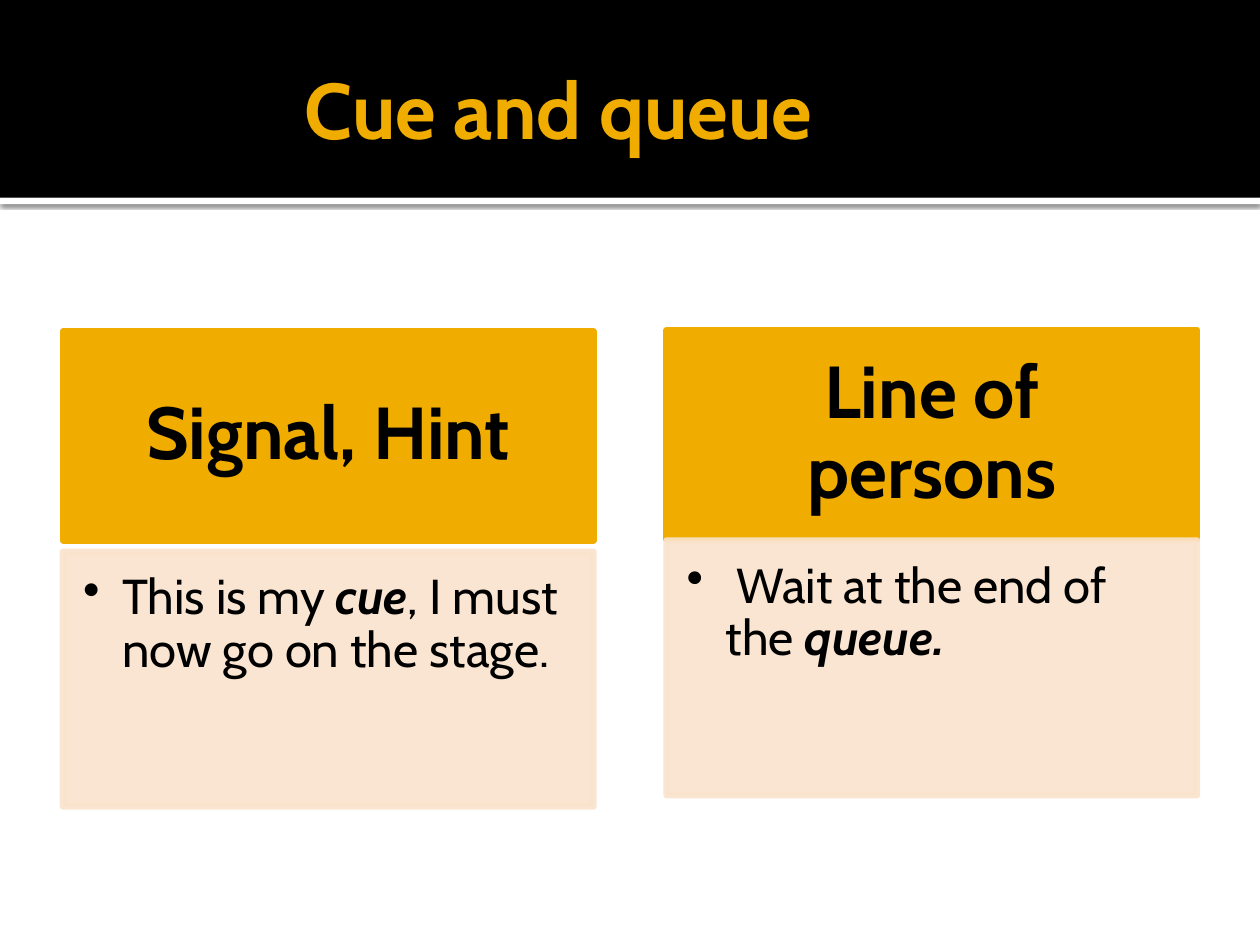
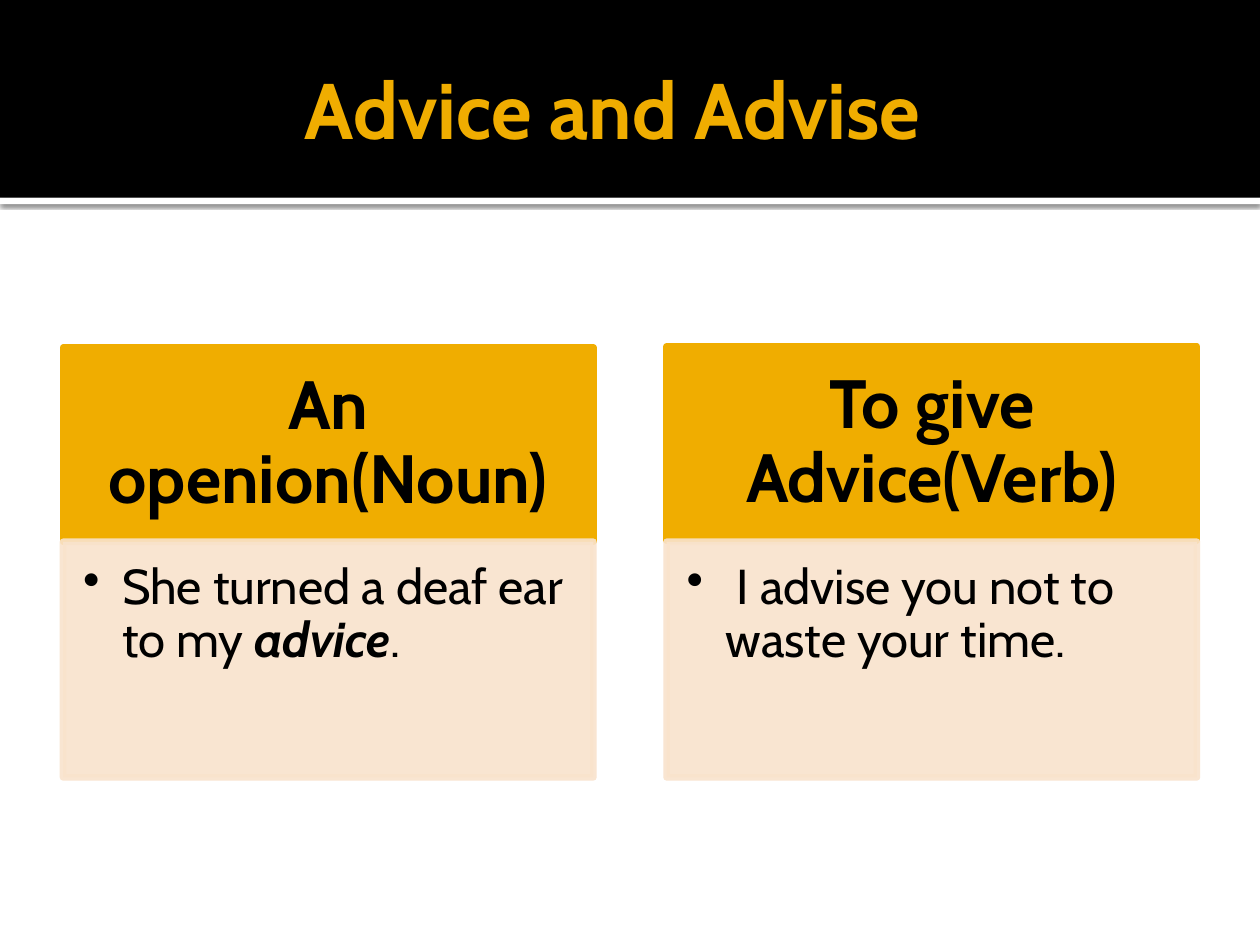
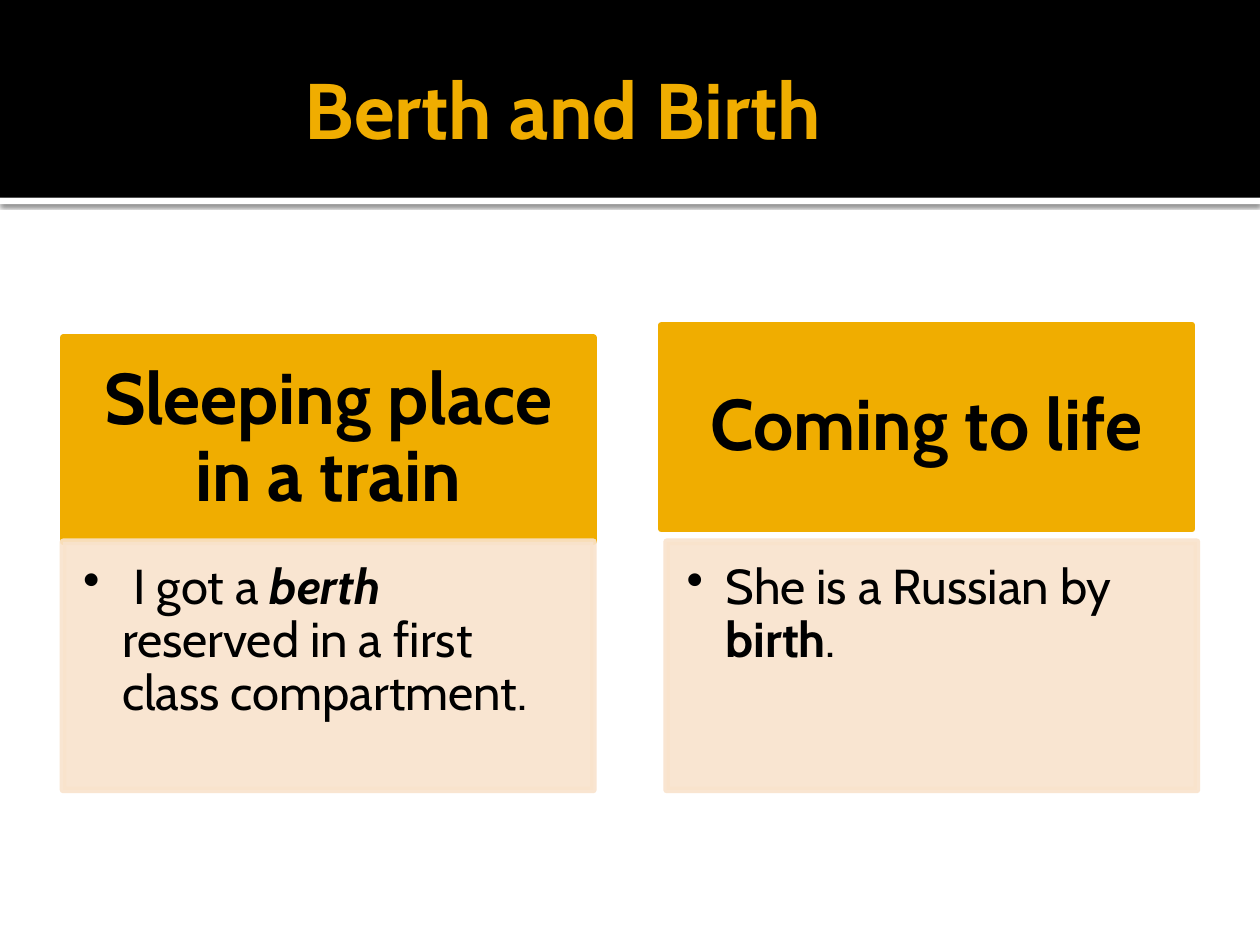
import pptx
import pptx.util
import pptx.dml.color
import pptx.enum.shapes
import pptx.enum.text
import pptx.oxml
import pptx.oxml.ns
import pptx.oxml.xmlchemy

Inches = pptx.util.Inches
Pt = pptx.util.Pt
RGBColor = pptx.dml.color.RGBColor
PP_ALIGN = pptx.enum.text.PP_ALIGN
MSO_ANCHOR = pptx.enum.text.MSO_ANCHOR
OxmlElement = pptx.oxml.xmlchemy.OxmlElement
qn = pptx.oxml.ns.qn

BLACK = RGBColor(0x00, 0x00, 0x00)
WHITE = RGBColor(0xFF, 0xFF, 0xFF)
AMBER = RGBColor(0xF0, 0xAD, 0x00)
CREAM = RGBColor(0xF9, 0xE3, 0xCC)

FONT = "Cabin"
COLUMN_W = 4.21
COLUMN_X = (0.5, 5.29)
PLAIN = {}
BOLD = {"bold": True}
BOLD_ITALIC = {"bold": True, "italic": True}
SHADOW = (
    '<a:outerShdw xmlns:a="http://schemas.openxmlformats.org/drawingml/2006/main" '
    'blurRad="31750" dist="10160" dir="5400000" algn="tl" rotWithShape="0">'
    '<a:srgbClr val="000000"><a:alpha val="60000"/></a:srgbClr></a:outerShdw>'
)


class Deck:
    def __init__(self):
        self.prs = pptx.Presentation()
        self.prs.slide_width = Inches(10)
        self.prs.slide_height = Inches(7.5)
        self.s = None

    def apply(self, target, values):
        for name, value in values.items():
            setattr(target, name, value)

    def box(self, x, y, w, h, color):
        sp = self.s.shapes.add_shape(
            pptx.enum.shapes.MSO_SHAPE.RECTANGLE,
            Inches(x), Inches(y), Inches(w), Inches(h))
        sp.shadow.inherit = False
        sp.fill.solid()
        sp.fill.fore_color.rgb = color
        sp.line.fill.background()
        return sp

    def outline(self, sp, color):
        sp.line.color.rgb = color
        sp.line.width = Pt(3.78)

    def fade(self, sp, percent):
        for clr in sp._element.spPr.iter(qn("a:srgbClr")):
            alpha = OxmlElement("a:alpha")
            alpha.set("val", str(percent * 1000))
            clr.append(alpha)

    def frame(self, sp, anchor, insets):
        tf = sp.text_frame
        left, top, right, bottom = (Inches(v) for v in insets)
        self.apply(tf, {
            "word_wrap": True, "auto_size": pptx.enum.text.MSO_AUTO_SIZE.NONE,
            "vertical_anchor": anchor, "margin_left": left, "margin_top": top,
            "margin_right": right, "margin_bottom": bottom})
        return tf.paragraphs[0]

    def run(self, p, text, size, color, style):
        r = p.add_run()
        r.text = text
        self.apply(r.font, {"name": FONT, "size": Pt(size), **style})
        r.font.color.rgb = color

    def bands(self):
        rule = self.box(0, 1.57, 10, 0.05, WHITE)
        effects = rule._element.spPr.find(qn("a:effectLst"))
        effects.append(pptx.oxml.parse_xml(SHADOW))
        self.box(0, 0, 10, 1.57, BLACK)

    def title(self, text):
        sp = self.s.shapes.title
        self.apply(sp, {"left": Inches(0.5), "top": Inches(0.17),
                        "width": Inches(9), "height": Inches(1.37)})
        p = self.frame(sp, MSO_ANCHOR.MIDDLE, (1.92, 0.05, 0.05, 0.05))
        p.alignment = PP_ALIGN.LEFT
        self.run(p, text, 45, AMBER, BOLD)
        self.s.shapes._spTree.append(sp._element)

    def slide(self, title):
        self.s = self.prs.slides.add_slide(self.prs.slide_layouts[5])
        self.s.background.fill.solid()
        self.s.background.fill.fore_color.rgb = WHITE
        self.bands()
        self.title(title)

    def heading(self, x, y, h, text, size, insets):
        sp = self.box(x, y, COLUMN_W, h, AMBER)
        self.outline(sp, AMBER)
        p = self.frame(sp, MSO_ANCHOR.MIDDLE, insets * 2)
        self.apply(p, {"alignment": PP_ALIGN.CENTER, "line_spacing": 0.9})
        self.run(p, text, size, BLACK, BOLD)

    def example(self, x, y, h, runs):
        sp = self.box(x, y, COLUMN_W, h, CREAM)
        self.outline(sp, CREAM)
        self.fade(sp, 90)
        p = self.frame(sp, MSO_ANCHOR.TOP, (0.16, 0.16, 0.22, 0.24))
        self.apply(p, {"alignment": PP_ALIGN.LEFT, "level": 1, "line_spacing": 0.9})
        pPr = p._p.get_or_add_pPr()
        pPr.set("marL", str(Inches(0.31)))
        pPr.set("indent", str(-Inches(0.31)))
        bullet = OxmlElement("a:buChar")
        bullet.set("char", "\u2022")
        pPr.append(bullet)
        for text, style in runs:
            self.run(p, text, 28, BLACK, style)


LEFT, RIGHT = COLUMN_X
SLIDES = [
    {"title": "Cue and queue", "size": 42, "insets": (0.33, 0.19),
     "head_h": 1.66, "body_h": 2.02,
     "columns": [
         ("Signal, Hint", LEFT, 2.63, 4.38,
          [("This is my ", PLAIN), ("cue", BOLD_ITALIC),
           (", I must now go on the stage.", PLAIN)]),
         ("Line of persons", RIGHT, 2.62, 4.29,
          [(" Wait at the end of the", PLAIN), (" queue.", BOLD_ITALIC)]),
     ]},
    {"title": "Advice and Advise", "size": 39, "insets": (0.3, 0.17),
     "head_h": 1.54, "body_h": 1.87,
     "columns": [
         ("An openion(Noun)", LEFT, 2.76, 4.3,
          [("She turned a deaf ear to my ", PLAIN), ("advice", BOLD_ITALIC),
           (".", PLAIN)]),
         ("To give Advice(Verb)", RIGHT, 2.75, 4.3,
          [(" I advise you not to waste your time.", PLAIN)]),
     ]},
    {"title": "Berth and Birth", "size": 41, "insets": (0.32, 0.18),
     "head_h": 1.62, "body_h": 1.97,
     "columns": [
         ("Sleeping place in a train", LEFT, 2.68, 4.3,
          [(" I got a ", PLAIN), ("berth", BOLD_ITALIC),
           (" reserved in a first class compartment.", PLAIN)]),
         ("Coming to life", 5.25, 2.58, 4.3,
          [("She is a Russian by", PLAIN), (" birth", BOLD), (".", PLAIN)]),
     ]},
]

deck = Deck()
for page in SLIDES:
    deck.slide(page["title"])
    for x, (text, head_x, head_y, body_y, runs) in zip(COLUMN_X, page["columns"]):
        deck.heading(head_x, head_y, page["head_h"], text, page["size"], page["insets"])
        deck.example(x, body_y, page["body_h"], runs)
deck.prs.save("out.pptx")
